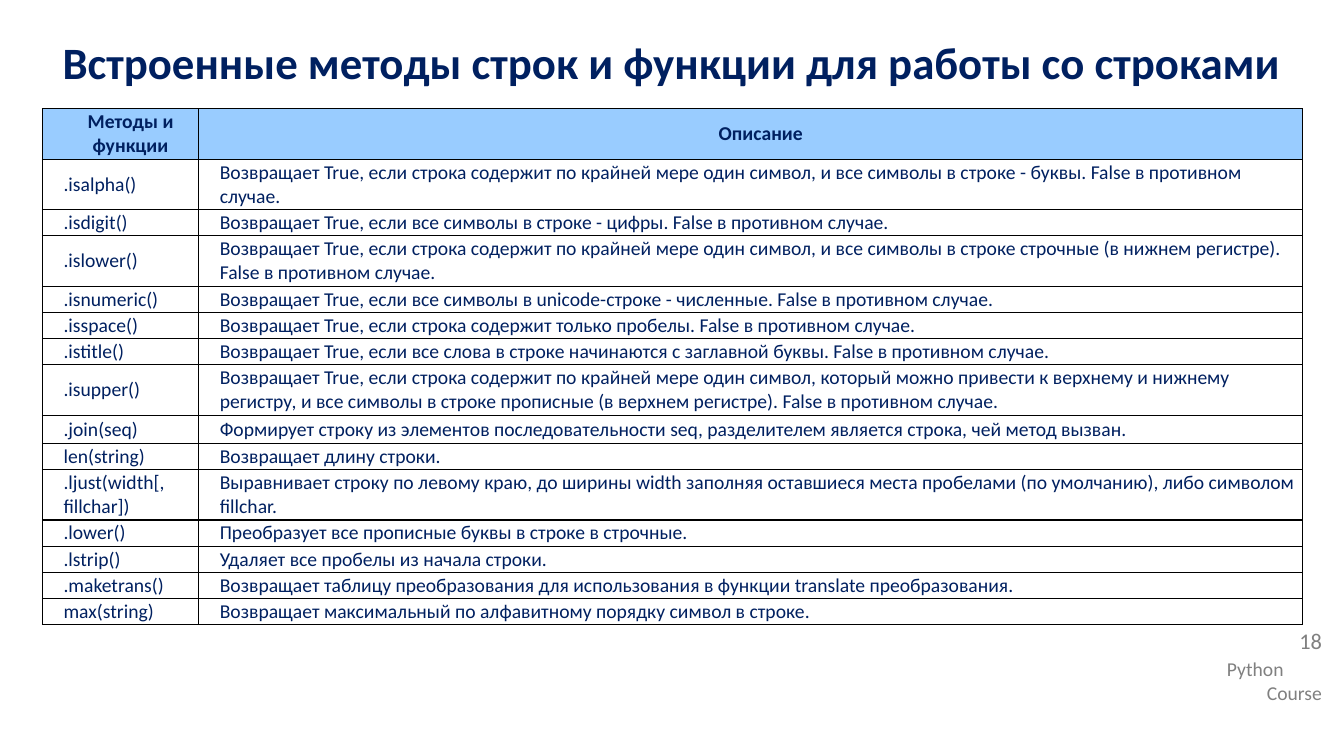
from pptx import Presentation
from pptx.dml.color import RGBColor
from pptx.enum.text import MSO_ANCHOR, PP_ALIGN
from pptx.oxml import parse_xml
from pptx.oxml.ns import nsdecls
from pptx.util import Pt

PX = 9144  # 100 px to the inch
FONT = "Calibri"
LEFT, CENTER, RIGHT = PP_ALIGN.LEFT, PP_ALIGN.CENTER, PP_ALIGN.RIGHT
MIDDLE, TOP = MSO_ANCHOR.MIDDLE, MSO_ANCHOR.TOP
COLORS = {"navy": "002060", "gray": "808080", "header": "99CCFF", "border": "000000"}

TITLE = "Встроенные методы строк и функции для работы со строками"
COLUMN_WIDTHS = (155, 1095)
# Row height, method, description
ROWS = [
    (50, "Методы и функции", "Описание"),
    (50, ".isalpha()", "Возвращает True, если строка содержит по крайней мере один символ, "
     "и все символы в строке - буквы. False в противном случае."),
    (26, ".isdigit()", "Возвращает True, если все символы в строке - цифры. "
     "False в противном случае."),
    (50, ".islower()", "Возвращает True, если строка содержит по крайней мере один символ, "
     "и все символы в строке строчные (в нижнем регистре). False в противном случае."),
    (26, ".isnumeric()", "Возвращает True, если все символы в unicode-строке - численные. "
     "False в противном случае."),
    (26, ".isspace()", "Возвращает True, если строка содержит только пробелы. "
     "False в противном случае."),
    (26, ".istitle()", "Возвращает True, если все слова в строке начинаются с заглавной буквы. "
     "False в противном случае."),
    (50, ".isupper()", "Возвращает True, если строка содержит по крайней мере один символ, "
     "который можно привести к верхнему и нижнему регистру, и все символы в строке "
     "прописные (в верхнем регистре). False в противном случае."),
    (28, ".join(seq)", "Формирует строку из элементов последовательности seq, "
     "разделителем является строка, чей метод вызван."),
    (26, "len(string)", "Возвращает длину строки."),
    (50, ".ljust(width[, fillchar])", "Выравнивает строку по левому краю, до ширины width "
     "заполняя оставшиеся места пробелами (по умолчанию), либо символом fillchar."),
    (26, ".lower()", "Преобразует все прописные буквы в строке в строчные."),
    (26, ".lstrip()", "Удаляет все пробелы из начала строки."),
    (26, ".maketrans()", "Возвращает таблицу преобразования для использования "
     "в функции translate преобразования."),
    (26, "max(string)", "Возвращает максимальный по алфавитному порядку символ в строке."),
]


def set_para(para, text, size, color, align=LEFT, bold=False):
    para.text = text
    para.alignment = align
    font = para.font
    font.name, font.size, font.bold = FONT, Pt(size), bold
    font.color.rgb = RGBColor.from_string(COLORS[color])


def add_text_frame(page, box, anchor=TOP):
    frame = page.shapes.add_textbox(*(length * PX for length in box)).text_frame
    frame.word_wrap = True
    frame.vertical_anchor = anchor
    return frame


def add_title(page, box):
    para = add_text_frame(page, box, MIDDLE).paragraphs[0]
    set_para(para, TITLE, 32, "navy", CENTER, bold=True)
    para.space_before = para.space_after = Pt(5)


def add_footer(page, box):
    """Page number at the top of the box, course name below it."""
    left, top, width, height = box
    number = add_text_frame(page, (left, top, width, 45)).paragraphs[0]
    set_para(number, "18", 16, "gray", RIGHT)
    number.line_spacing = 0.9
    number.space_before = Pt(10)

    course = add_text_frame(page, (left, top + 27, width, height - 27))
    set_para(course.paragraphs[0], "Python", 14, "gray")
    set_para(course.add_paragraph(), "Course", 14, "gray", RIGHT)


def add_borders(cell):
    properties = cell._tc.get_or_add_tcPr()
    for side in ("lnL", "lnR", "lnT", "lnB"):
        properties.append(parse_xml(
            f'<a:{side} {nsdecls("a")} w="{Pt(1)}"><a:solidFill>'
            f'<a:srgbClr val="{COLORS["border"]}"/></a:solidFill></a:{side}>'))


def fill_cell(cell, text, is_header):
    cell.margin_left = cell.margin_right = PX
    cell.margin_top = cell.margin_bottom = 0
    cell.vertical_anchor = MIDDLE
    add_borders(cell)
    if is_header:
        cell.fill.solid()
        cell.fill.fore_color.rgb = RGBColor.from_string(COLORS["header"])
    else:
        cell.fill.background()
    para = cell.text_frame.paragraphs[0]
    set_para(para, text, 14, "navy", CENTER if is_header else LEFT, is_header)
    indent = para._p.get_or_add_pPr()
    indent.set("marL", str(20 * PX))
    indent.set("indent", "0")


def add_methods_table(page, left, top):
    width, height = sum(COLUMN_WIDTHS), sum(row[0] for row in ROWS)
    table = page.shapes.add_table(
        len(ROWS), len(COLUMN_WIDTHS), left * PX, top * PX, width * PX, height * PX).table
    table.horz_banding = table.first_row = False
    for column, column_width in zip(table.columns, COLUMN_WIDTHS):
        column.width = column_width * PX
    for index, (row_height, *texts) in enumerate(ROWS):
        row = table.rows[index]
        row.height = row_height * PX
        for cell, text in zip(row.cells, texts):
            fill_cell(cell, text, is_header=index == 0)


def main():
    deck = Presentation()
    deck.slide_width, deck.slide_height = 1333 * PX, 750 * PX
    page = deck.slides.add_slide(deck.slide_layouts[6])
    add_footer(page, (1207, 620, 114, 84))
    add_title(page, (0, 23, 1333, 76))
    add_methods_table(page, 42, 108)
    deck.save("out.pptx")


if __name__ == "__main__":
    main()
